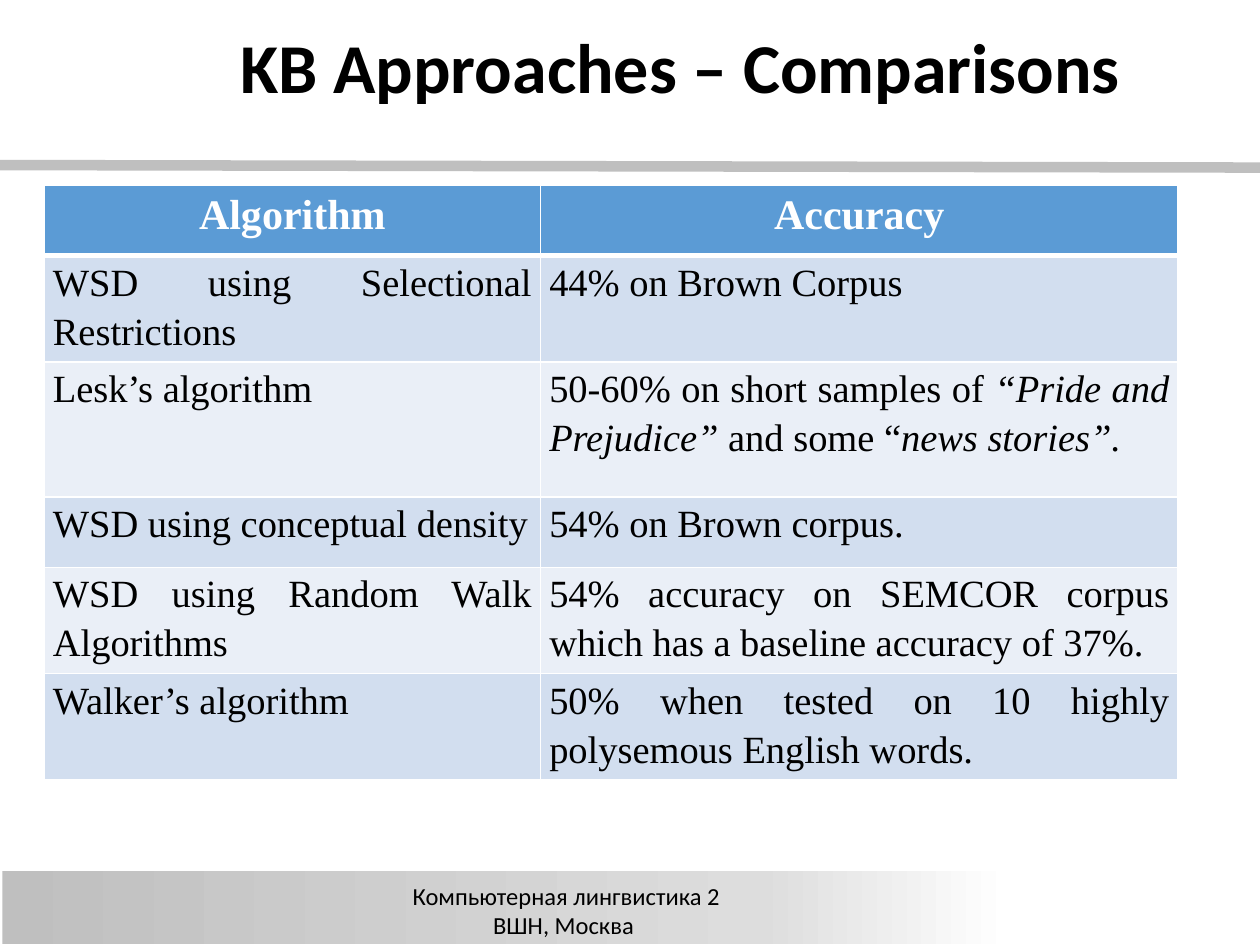
from copy import deepcopy
from dataclasses import dataclass

from lxml import etree
from pptx import Presentation
from pptx.dml.color import RGBColor
from pptx.enum.shapes import MSO_CONNECTOR, MSO_SHAPE
from pptx.enum.text import MSO_ANCHOR, MSO_AUTO_SIZE, PP_ALIGN
from pptx.oxml.ns import qn
from pptx.util import Inches, Pt

CENTER, JUSTIFY, LEFT = PP_ALIGN.CENTER, PP_ALIGN.JUSTIFY, PP_ALIGN.LEFT
MIDDLE, TOP = MSO_ANCHOR.MIDDLE, MSO_ANCHOR.TOP
STRAIGHT, RECTANGLE = MSO_CONNECTOR.STRAIGHT, MSO_SHAPE.RECTANGLE
FIT_SHAPE, NO_FIT = MSO_AUTO_SIZE.SHAPE_TO_FIT_TEXT, MSO_AUTO_SIZE.NONE


@dataclass(frozen=True)
class Theme:
    sans: str = "Calibri"
    serif: str = "Times New Roman"
    black: str = "000000"
    white: str = "FFFFFF"
    rule: str = "BFBFBF"
    header: str = "5B9BD5"
    bands: tuple = ("D2DEEF", "EAEFF7")
    footer_stops: tuple = ((0, "BFBFBF"), (0.75, "DDDDDD"), (1, "FFFFFF"))
    title_size: int = 40
    header_size: int = 24
    body_size: int = 22
    footer_size: int = 14


@dataclass(frozen=True)
class Frame:
    left: float
    top: float
    width: float
    height: float

    def lengths(self) -> tuple:
        return tuple(Inches(v) for v in (self.left, self.top, self.width, self.height))


@dataclass(frozen=True)
class Style:
    font: str
    size: int
    color: str
    bold: bool = False


@dataclass(frozen=True)
class Span:
    text: str
    italic: bool = False


THEME = Theme()
TITLE = Style(THEME.sans, THEME.title_size, THEME.black, True)
FOOTER = Style(THEME.sans, THEME.footer_size, THEME.black)
HEADER = Style(THEME.serif, THEME.header_size, THEME.white, True)
BODY = Style(THEME.serif, THEME.body_size, THEME.black)

COLUMN_WIDTHS = (3.94, 5.06)
ROW_HEIGHTS = (0.56, 0.56, 1.07, 0.56, 0.71, 0.71)
ROWS = (
    ("Algorithm", "Accuracy"),
    ("WSD using Selectional Restrictions", "44% on Brown Corpus"),
    ("Lesk’s algorithm", (
        Span("50-60% on short samples of "),
        Span("“Pride and Prejudice” ", True),
        Span("and some “"),
        Span("news stories”. ", True),
    )),
    ("WSD using conceptual density", "54% on Brown corpus. "),
    ("WSD using Random Walk Algorithms",
     "54% accuracy on SEMCOR corpus which has a baseline accuracy of 37%."),
    ("Walker’s algorithm", "50% when tested on 10 highly polysemous English words. "),
)


def write_para(para, content, style: Style, para_format: dict) -> None:
    """Fill a paragraph from a plain string or a tuple of spans."""
    for name, value in para_format.items():
        setattr(para, name, value)
    spans = (Span(content),) if isinstance(content, str) else content
    for span in spans:
        run = para.add_run()
        run.text = span.text
        values = {"name": style.font, "size": Pt(style.size),
                  "bold": style.bold, "italic": span.italic}
        for name, value in values.items():
            setattr(run.font, name, value)
        run.font.color.rgb = RGBColor.from_string(style.color)


def add_text(slide, frame: Frame, lines: tuple, style: Style, para_format: dict,
             frame_format: dict) -> None:
    text_frame = slide.shapes.add_textbox(*frame.lengths()).text_frame
    for name, value in {"word_wrap": True, **frame_format}.items():
        setattr(text_frame, name, value)
    for index, line in enumerate(lines):
        para = text_frame.add_paragraph() if index else text_frame.paragraphs[0]
        write_para(para, line, style, para_format)


def add_rule(slide) -> None:
    line = slide.shapes.add_connector(
        STRAIGHT, Inches(-0.03), Inches(1.31), Inches(10.03), Inches(1.33))
    line.line.width = Pt(6)
    line.line.color.rgb = RGBColor.from_string(THEME.rule)
    etree.SubElement(line._element.spPr, qn("a:effectLst"))


def add_footer_band(slide) -> None:
    band = slide.shapes.add_shape(RECTANGLE, *Frame(0.02, 6.91, 8, 0.58).lengths())
    band.shadow.inherit = False
    band.line.fill.background()
    band.fill.gradient()
    band.fill.gradient_angle = 0
    stop_list = band._element.spPr.find(".//" + qn("a:gsLst"))
    stop_list.append(deepcopy(stop_list[0]))
    for stop, (position, color) in zip(band.fill.gradient_stops, THEME.footer_stops):
        stop.position = position
        stop.color.rgb = RGBColor.from_string(color)


def set_borders(cell, widths: dict) -> None:
    """Put white borders before the cell's fill, as the schema orders them."""
    properties = cell._tc.get_or_add_tcPr()
    for index, (side, width) in enumerate(widths.items()):
        border = etree.Element(qn(f"a:ln{side}"), w=str(Pt(width)))
        fill = etree.SubElement(border, qn("a:solidFill"))
        etree.SubElement(fill, qn("a:srgbClr"), val=THEME.white)
        properties.insert(index, border)


def fill_cell(cell, content, row: int) -> None:
    is_header = row == 0
    cell_format = {"margin_left": Inches(0.07), "margin_right": Inches(0.07),
                   "margin_top": 0, "margin_bottom": 0, "vertical_anchor": TOP}
    for name, value in cell_format.items():
        setattr(cell, name, value)
    cell.fill.solid()
    color = THEME.header if is_header else THEME.bands[(row - 1) % 2]
    cell.fill.fore_color.rgb = RGBColor.from_string(color)
    set_borders(cell, {"L": 1, "R": 1, "T": 3 if row == 1 else 1,
                       "B": 3 if is_header else 1})
    write_para(cell.text_frame.paragraphs[0], content, HEADER if is_header else BODY,
               {"alignment": CENTER if is_header else JUSTIFY,
                "line_spacing": 1.15, "space_after": Pt(6)})


def add_comparison_table(slide) -> None:
    frame = Frame(0.35, 1.47, sum(COLUMN_WIDTHS), sum(ROW_HEIGHTS))
    table = slide.shapes.add_table(
        len(ROWS), len(COLUMN_WIDTHS), *frame.lengths()).table
    for column, width in zip(table.columns, COLUMN_WIDTHS):
        column.width = Inches(width)
    for row, height in zip(table.rows, ROW_HEIGHTS):
        row.height = Inches(height)
    for row, contents in enumerate(ROWS):
        for column, content in enumerate(contents):
            fill_cell(table.cell(row, column), content, row)


def main() -> None:
    deck = Presentation()
    deck.slide_width, deck.slide_height = Inches(10), Inches(7.5)
    slide = deck.slides.add_slide(deck.slide_layouts[6])
    add_rule(slide)
    add_footer_band(slide)
    add_text(slide, Frame(1.61, 6.94, 5.77, 0.57),
             ("Компьютерная лингвистика 2", "ВШН, Москва "), FOOTER,
             {"alignment": CENTER}, {"auto_size": FIT_SHAPE})
    add_text(slide, Frame(1.81, 0.21, 7.75, 0.71),
             ("KB Approaches – Comparisons",), TITLE,
             {"alignment": LEFT, "line_spacing": 0.9},
             {"auto_size": NO_FIT, "vertical_anchor": MIDDLE})
    add_comparison_table(slide)
    deck.save("out.pptx")


if __name__ == "__main__":
    main()
